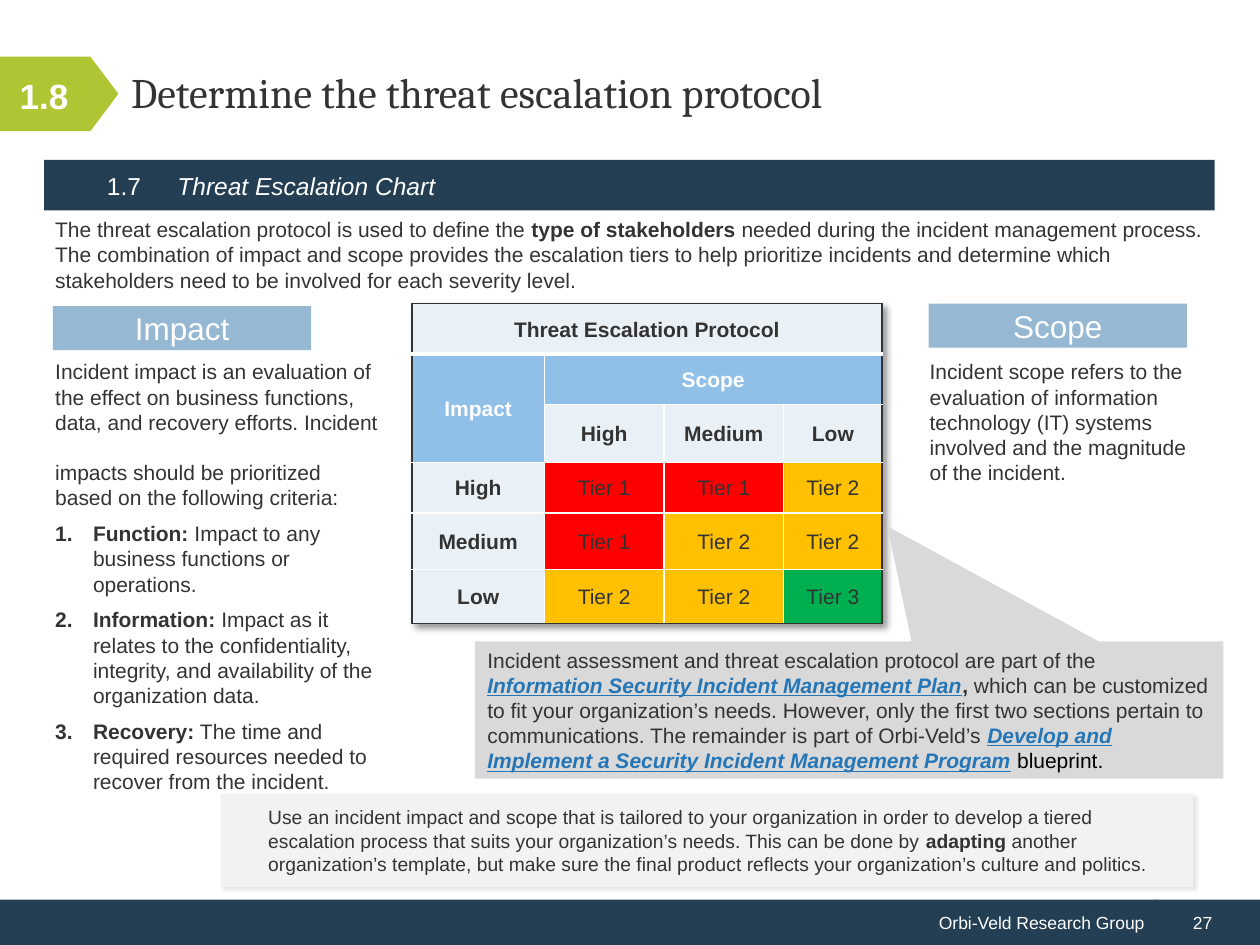
from dataclasses import dataclass
from typing import NamedTuple

from lxml import etree
from pptx import Presentation
from pptx.dml.color import RGBColor
from pptx.enum.shapes import MSO_SHAPE
from pptx.enum.text import MSO_ANCHOR, PP_ALIGN
from pptx.oxml import parse_xml
from pptx.oxml.ns import nsdecls, qn
from pptx.util import Inches, Pt

RECT, PENTAGON = MSO_SHAPE.RECTANGLE, MSO_SHAPE.PENTAGON
CALLOUT = MSO_SHAPE.RECTANGULAR_CALLOUT
LEFT, CENTER, RIGHT = PP_ALIGN.LEFT, PP_ALIGN.CENTER, PP_ALIGN.RIGHT
TOP, MIDDLE = MSO_ANCHOR.TOP, MSO_ANCHOR.MIDDLE

NAVY, LIME, STEEL, INK, WHITE = "243F54", "B0C534", "96B8D2", "333333", "FFFFFF"
PALE, SKY, LINK = "EAF1F6", "90C0E8", "2576B7"
TIER_FILLS = {"Tier 1": "FF0000", "Tier 2": "FFC000", "Tier 3": "00B050"}


class Run(NamedTuple):
    text: str
    bold: bool = False
    italic: bool = False
    underline: bool = False
    color: str = ""


@dataclass
class Para:
    runs: list[Run]
    size: float = 12
    color: str = INK
    align: PP_ALIGN = LEFT
    indent: float = 0
    numbered: bool = False
    after: float = 0
    spacing: float = 1.0


class Box(NamedTuple):
    left: float
    top: float
    width: float
    height: float


def rgb(hex_color: str) -> RGBColor:
    return RGBColor.from_string(hex_color)


def write(frame, paras: list[Para], anchor=TOP) -> None:
    frame.word_wrap = True
    frame.vertical_anchor = anchor
    for i, para in enumerate(paras):
        p = frame.paragraphs[0] if i == 0 else frame.add_paragraph()
        props = p._p.get_or_add_pPr()
        if para.indent:
            props.set("marL", str(Inches(para.indent)))
        if para.numbered:
            props.set("indent", str(-Inches(para.indent)))
            etree.SubElement(props, qn("a:buAutoNum"), type="arabicPeriod")
        p.alignment = para.align
        p.space_after = Pt(para.after)
        p.line_spacing = para.spacing
        for part in para.runs:
            for n, line in enumerate(part.text.split("\n")):
                if n:
                    # A break needs its own size to keep the line height
                    p.add_line_break()
                    etree.SubElement(p._p[-1], qn("a:rPr"), sz=str(int(para.size * 100)))
                run = p.add_run()
                run.text = line
                font = run.font
                font.name, font.size = "Arial", Pt(para.size)
                font.bold, font.italic = part.bold, part.italic
                font.underline = part.underline
                font.color.rgb = rgb(part.color or para.color)


def shadow_xml(alpha: int, blur: float, distance: float):
    return parse_xml(
        f'<a:effectLst {nsdecls("a")}><a:outerShdw blurRad="{Pt(blur)}" '
        f'dist="{Pt(distance)}" dir="2700000" algn="tl" rotWithShape="0">'
        f'<a:srgbClr val="000000"><a:alpha val="{alpha * 1000}"/></a:srgbClr>'
        "</a:outerShdw></a:effectLst>")


def add_panel(slide, box: Box, fill: str, paras=(), kind=RECT):
    shape = slide.shapes.add_shape(kind, *map(Inches, box))
    shape.shadow.inherit = False
    shape.fill.solid()
    shape.fill.fore_color.rgb = rgb(fill)
    shape.line.fill.background()
    if paras:
        write(shape.text_frame, paras, MIDDLE)
    return shape


def add_text(slide, box: Box, paras: list[Para], anchor=TOP) -> None:
    write(slide.shapes.add_textbox(*map(Inches, box)).text_frame, paras, anchor)


def set_border(cell, side: str, color: str, width: float) -> None:
    cell._tc.get_or_add_tcPr().append(parse_xml(
        f'<a:ln{side} {nsdecls("a")} w="{Pt(width)}"><a:solidFill>'
        f'<a:srgbClr val="{color}"/></a:solidFill></a:ln{side}>'))


def add_escalation_table(slide) -> None:
    widths = [1.05, 0.95, 0.95, 0.78]
    heights = [0.4, 0.4, 0.46, 0.4, 0.45, 0.43]
    rows = [
        ["Threat Escalation Protocol", "", "", ""],
        ["Impact", "Scope", "", ""],
        ["", "High", "Medium", "Low"],
        ["High", "Tier 1", "Tier 1", "Tier 2"],
        ["Medium", "Tier 1", "Tier 2", "Tier 2"],
        ["Low", "Tier 2", "Tier 2", "Tier 3"],
    ]
    box = Box(3.27, 2.41, sum(widths), sum(heights))
    table = slide.shapes.add_table(len(rows), len(widths), *map(Inches, box)).table
    table._tbl.tblPr.insert(0, shadow_xml(40, 4, 3))
    for column, width in zip(table.columns, widths):
        column.width = Inches(width)
    for row, height in zip(table.rows, heights):
        row.height = Inches(height)
    for first, last in [((0, 0), (0, 3)), ((1, 0), (2, 0)), ((1, 1), (1, 3))]:
        table.cell(*first).merge(table.cell(*last))

    for r, labels in enumerate(rows):
        for c, label in enumerate(labels):
            cell = table.cell(r, c)
            end_row = r + (cell.span_height if cell.is_merge_origin else 1)
            end_col = c + (cell.span_width if cell.is_merge_origin else 1)
            # The outside edge is dark, inner lines are white
            for side, outer in [("L", c == 0), ("R", end_col == len(widths)),
                                ("T", r == 0), ("B", end_row == len(rows))]:
                heavy = r == 0 and side == "B"
                set_border(cell, side, INK if outer else WHITE, 3 if heavy else 1)
            axis = label in ("Impact", "Scope")
            tier = label in TIER_FILLS
            cell.fill.solid()
            cell.fill.fore_color.rgb = rgb(SKY if axis else TIER_FILLS.get(label, PALE))
            cell.margin_left = cell.margin_right = Inches(0.07)
            cell.margin_top = cell.margin_bottom = 0
            cell.vertical_anchor = MIDDLE
            if label:
                write(cell.text_frame, [Para(
                    [Run(label, bold=not tier)], color=WHITE if axis else INK,
                    align=CENTER, after=0 if axis or tier else 8,
                    spacing=1.07 if axis or tier or r == 0 else 1.05)], MIDDLE)


def main() -> None:
    deck = Presentation()
    deck.slide_width, deck.slide_height = Inches(10), Inches(7.5)
    slide = deck.slides.add_slide(deck.slide_layouts[5])

    # Footer, heading bar and step badge
    add_panel(slide, Box(0, 7.14, 9.18, 0.37), NAVY,
              [Para([Run("Orbi-Veld Research Group")], 10, WHITE, RIGHT)])
    add_panel(slide, Box(9.17, 7.14, 0.83, 0.37), NAVY,
              [Para([Run("27")], 10, WHITE, indent=0.2)])
    add_panel(slide, Box(0.35, 1.27, 9.29, 0.4), NAVY)
    badge = add_panel(slide, Box(0, 0.45, 0.94, 0.59), LIME, kind=PENTAGON)
    badge.adjustments[0] = 0.376

    # Title
    title = slide.shapes.title
    title.left, title.top, title.width, title.height = map(
        Inches, Box(0.94, 0.28, 8.76, 0.94))
    write(title.text_frame,
          [Para([Run("Determine the threat escalation protocol")], 24)], MIDDLE)
    heading = title.text_frame.paragraphs[0]
    heading.line_spacing = Pt(26)
    heading.runs[0].font.name = "Cambria"

    # Heading bar and badge labels
    add_text(slide, Box(1.31, 1.28, 8.12, 0.38),
             [Para([Run("Threat Escalation Chart", italic=True)], 14, WHITE)], MIDDLE)
    add_text(slide, Box(0.75, 1.28, 0.49, 0.38), [Para([Run("1.7")], 14, WHITE)], MIDDLE)
    add_text(slide, Box(0, 0.27, 0.7, 0.98),
             [Para([Run("1.8", bold=True)], 20, WHITE, CENTER)], MIDDLE)

    # Column headings
    for name, left, top in [("Impact", 0.42, 2.43), ("Scope", 7.37, 2.41)]:
        add_panel(slide, Box(left, top, 2.05, 0.35), STEEL,
                  [Para([Run(name)], 18, WHITE, CENTER)])

    add_escalation_table(slide)

    # Introduction, impact criteria and scope
    add_text(slide, Box(0.34, 1.67, 9.37, 0.71), [Para([
        Run("The threat escalation protocol is used to define the "),
        Run("type of stakeholders ", bold=True),
        Run("needed during the incident management process. The combination of impact and scope provides the escalation tiers to help prioritize incidents and determine which stakeholders need to be involved for each severity level.")])])
    criteria = [
        ("Function:", " Impact to any business functions or operations."),
        ("Information:", " Impact as it relates to the confidentiality, integrity, and availability of the organization data."),
        ("Recovery:", " The time and required resources needed to recover from the incident."),
    ]
    add_text(slide, Box(0.34, 2.8, 2.8, 3.38), [
        Para([Run("Incident impact is an evaluation of the effect on business functions, data, and recovery efforts. Incident \nimpacts should be prioritized \nbased on the following criteria:")], after=6),
        *(Para([Run(name, bold=True), Run(detail)], indent=0.3, numbered=True, after=6)
          for name, detail in criteria)])
    add_text(slide, Box(7.28, 2.8, 2.63, 1.11), [Para([Run(
        "Incident scope refers to the evaluation of information technology (IT) systems \ninvolved and the magnitude \nof the incident.")])])

    # Callout pointing at the table
    callout = add_panel(slide, Box(3.77, 5.09, 5.94, 1.09), "D9D9D9", [Para([
        Run("Incident assessment and threat escalation protocol are part of the "),
        Run("Information Security Incident Management Plan", True, True, True, LINK),
        Run(", ", bold=True),
        Run("which can be customized to fit your organization’s needs. However, only the first two sections pertain to communications. The remainder is part of Orbi-Veld’s "),
        Run("Develop and Implement a Security Incident Management Program", True, True, True, LINK),
        Run(" blueprint.", color="000000")])], CALLOUT)
    callout.adjustments[0], callout.adjustments[1] = 0.051, -1.338

    # Advice note
    note = add_panel(slide, Box(1.75, 6.3, 7.72, 0.74), "F2F2F2", [Para([
        Run("Use an incident impact and scope that is tailored to your organization in order to develop a tiered escalation process that suits your organization’s needs. This can be done by "),
        Run("adapting", bold=True),
        Run(" another organization’s template, but make sure the final product reflects your organization’s culture and politics.")],
        size=11, indent=0.28)])
    props = note._element.spPr
    props.replace(props.find(qn("a:effectLst")), shadow_xml(10, 2, 2))

    deck.save("out.pptx")


if __name__ == "__main__":
    main()
